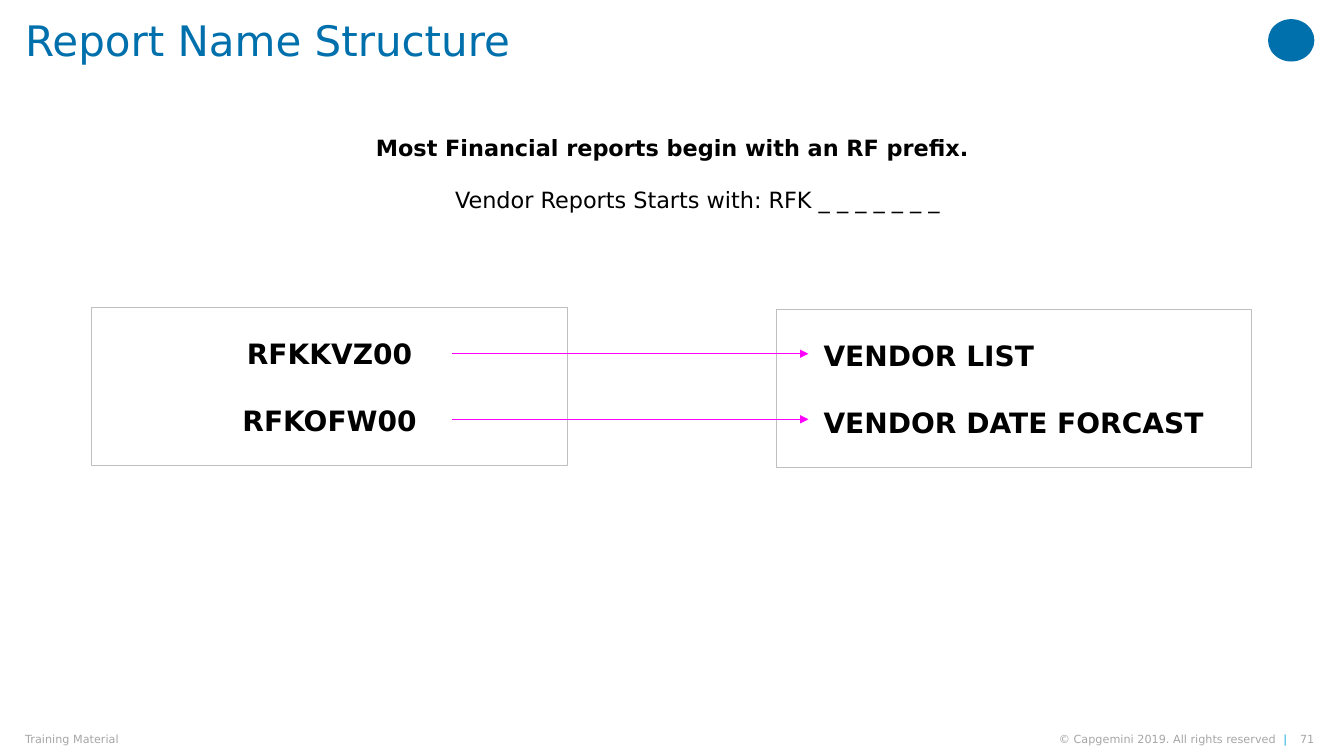
from lxml.etree import SubElement
from pptx import Presentation
from pptx.dml.color import RGBColor
from pptx.enum.shapes import MSO_CONNECTOR as Connector, MSO_SHAPE as Shape
from pptx.enum.text import MSO_ANCHOR as Anchor, PP_ALIGN as Align
from pptx.oxml.ns import qn
from pptx.util import Inches, Pt

COLUMNS, ROWS = 40, 30
BLUE, CYAN, BLACK = "0070AD", "12ABDB", "000000"
GREY, BORDER, MAGENTA = "A6A6A6", "BFBFBF", "FF00FF"


def color(value):
    return RGBColor.from_string(value)


class SlideBuilder:
    """Draws styled elements on one slide; lengths are grid columns and rows."""

    font = "DejaVu Sans"

    def __init__(self, presentation):
        self.slide = presentation.slides.add_slide(presentation.slide_layouts[6])
        self.column = presentation.slide_width / COLUMNS
        self.row = presentation.slide_height / ROWS

    def place(self, left, top, width, height):
        return (round(left * self.column), round(top * self.row),
                round(width * self.column), round(height * self.row))

    def fill_text(self, shape, paragraphs, size, align=Align.LEFT, anchor=Anchor.TOP,
                  insets=(0, 0, 0, 0), gap=0, line_spacing=None):
        """Each paragraph is a list of (text, color, bold) runs."""
        frame = shape.text_frame
        frame.word_wrap = True
        frame.vertical_anchor = anchor
        (frame.margin_left, frame.margin_top,
         frame.margin_right, frame.margin_bottom) = map(Inches, insets)
        for index, runs in enumerate(paragraphs):
            paragraph = frame.add_paragraph() if index else frame.paragraphs[0]
            paragraph.alignment = align
            if index:
                paragraph.space_before = Pt(gap)
            if line_spacing:
                paragraph.line_spacing = line_spacing
            for text, run_color, bold in runs:
                run = paragraph.add_run()
                run.text = text
                run.font.name = self.font
                run.font.size = Pt(size)
                run.font.bold = bold
                run.font.color.rgb = color(run_color)
        return frame

    def text(self, place, paragraphs, size, **style):
        box = self.slide.shapes.add_textbox(*self.place(*place))
        return self.fill_text(box, paragraphs, size, **style)

    def shape(self, kind, place, fill=None, line=None):
        shape = self.slide.shapes.add_shape(kind, *self.place(*place))
        shape.shadow.inherit = False
        if fill:
            shape.fill.solid()
            shape.fill.fore_color.rgb = color(fill)
        else:
            shape.fill.background()
        if line:
            shape.line.color.rgb = color(line)
            shape.line.width = Pt(0.75)
        else:
            shape.line.fill.background()
        return shape

    def arrow(self, left, right, top):
        start, y, length, _ = self.place(left, top, right - left, 0)
        arrow = self.slide.shapes.add_connector(
            Connector.STRAIGHT, start, y, start + length, y)
        arrow.line.color.rgb = color(MAGENTA)
        arrow.line.width = Pt(0.75)
        properties = arrow._element.spPr
        SubElement(properties.find(qn("a:ln")), qn("a:tailEnd"), type="triangle")
        SubElement(properties, qn("a:effectLst"))


def main():
    presentation = Presentation()
    presentation.slide_width = Inches(13.33)
    presentation.slide_height = Inches(7.5)
    builder = SlideBuilder(presentation)

    # Corner mark
    builder.shape(Shape.OVAL, (37.74, 0.76, 1.38, 1.68), fill=BLUE)

    # Footer: left, width, runs, alignment
    footer = [
        (0.75, 15.48, [("Training Material", GREY, False)], Align.LEFT),
        (29.58, 8.73, [("© Capgemini 2019. All rights reserved  ", GREY, False),
                       ("|", CYAN, False)], Align.RIGHT),
        (38.55, 0.57, [("71", GREY, False)], Align.RIGHT),
    ]
    for left, width, runs, align in footer:
        builder.text((left, 29.08, width, 0.52), [runs], 8,
                     align=align, anchor=Anchor.MIDDLE)

    # Title and introduction
    builder.text((0.75, 0, 36.5, 3.16), [[("Report Name Structure", BLUE, False)]], 30,
                 insets=(0, 0.2, 0, 0), line_spacing=0.9)
    introduction = builder.text(
        (8.43, 5.12, 23.16, 3.56),
        [[("Most Financial reports begin with an RF prefix.", BLACK, True)],
         [("Vendor Reports Starts with: RFK _ _ _ _ _ _ _", BLACK, False)]],
        16, align=Align.CENTER, insets=(0.1, 0.05, 0.1, 0.05), gap=18)
    example = introduction.paragraphs[1]
    example.level = 1
    properties = example._p.get_or_add_pPr()
    properties.set("marL", str(Inches(0.5)))
    properties.set("indent", "0")

    # Report names and their meanings: left, top, texts, alignment, left inset
    panels = [
        (2.73, 12.2, ["RFKKVZ00", "RFKOFW00"], Align.CENTER, 0.1),
        (23.1, 12.28, ["VENDOR LIST", "VENDOR DATE FORCAST"], Align.LEFT, 0.47),
    ]
    for left, top, texts, align, inset in panels:
        panel = builder.shape(Shape.RECTANGLE, (left, top, 14.16, 6.28), line=BORDER)
        builder.fill_text(panel, [[(text, BLACK, True)] for text in texts], 20,
                          align=align, anchor=Anchor.MIDDLE,
                          insets=(inset, 0.05, 0.1, 0.05), gap=24)

    # Arrows from each name to its meaning
    for top in (14.04, 16.64):
        builder.arrow(13.44, 24.06, top)

    presentation.save("out.pptx")


if __name__ == "__main__":
    main()
